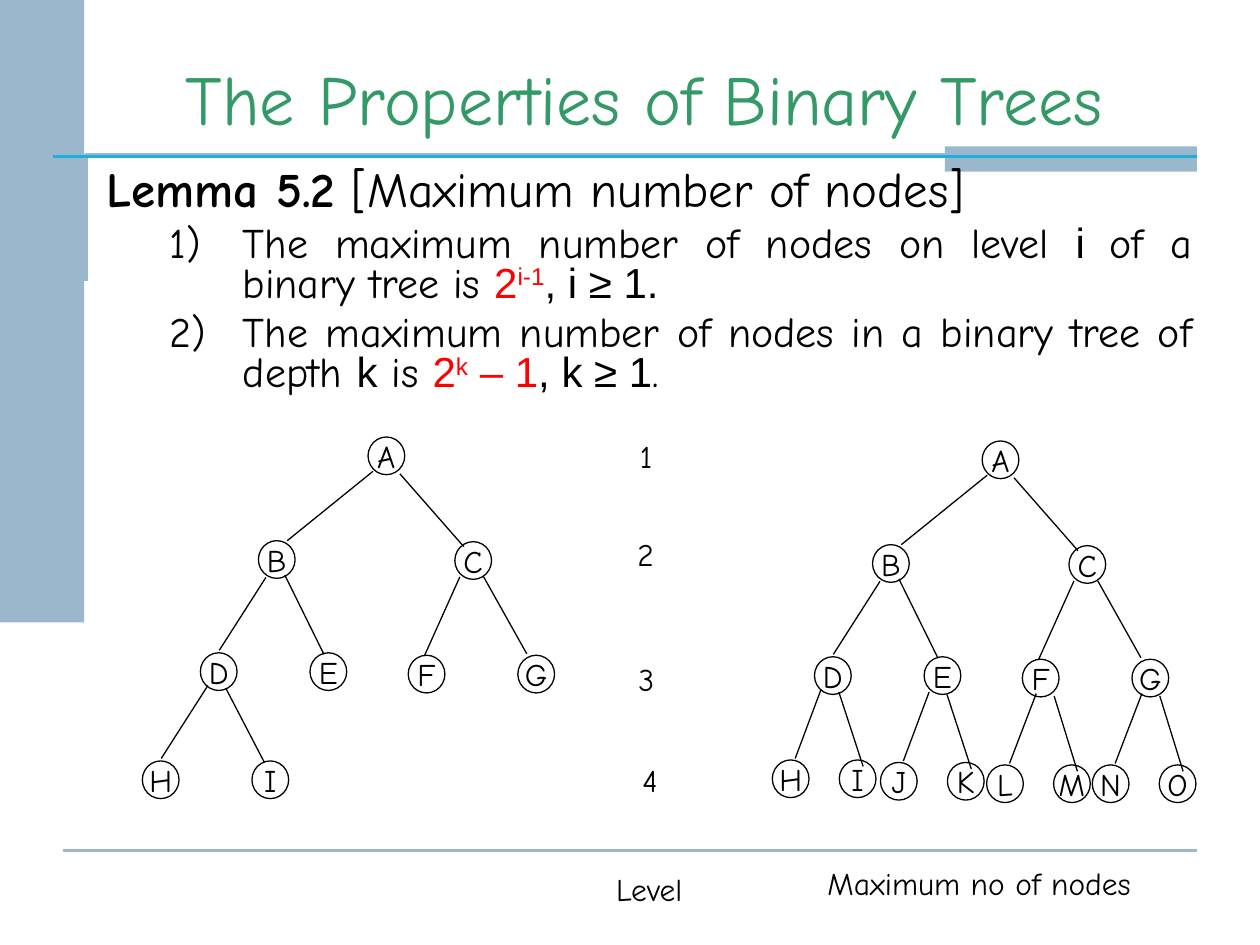
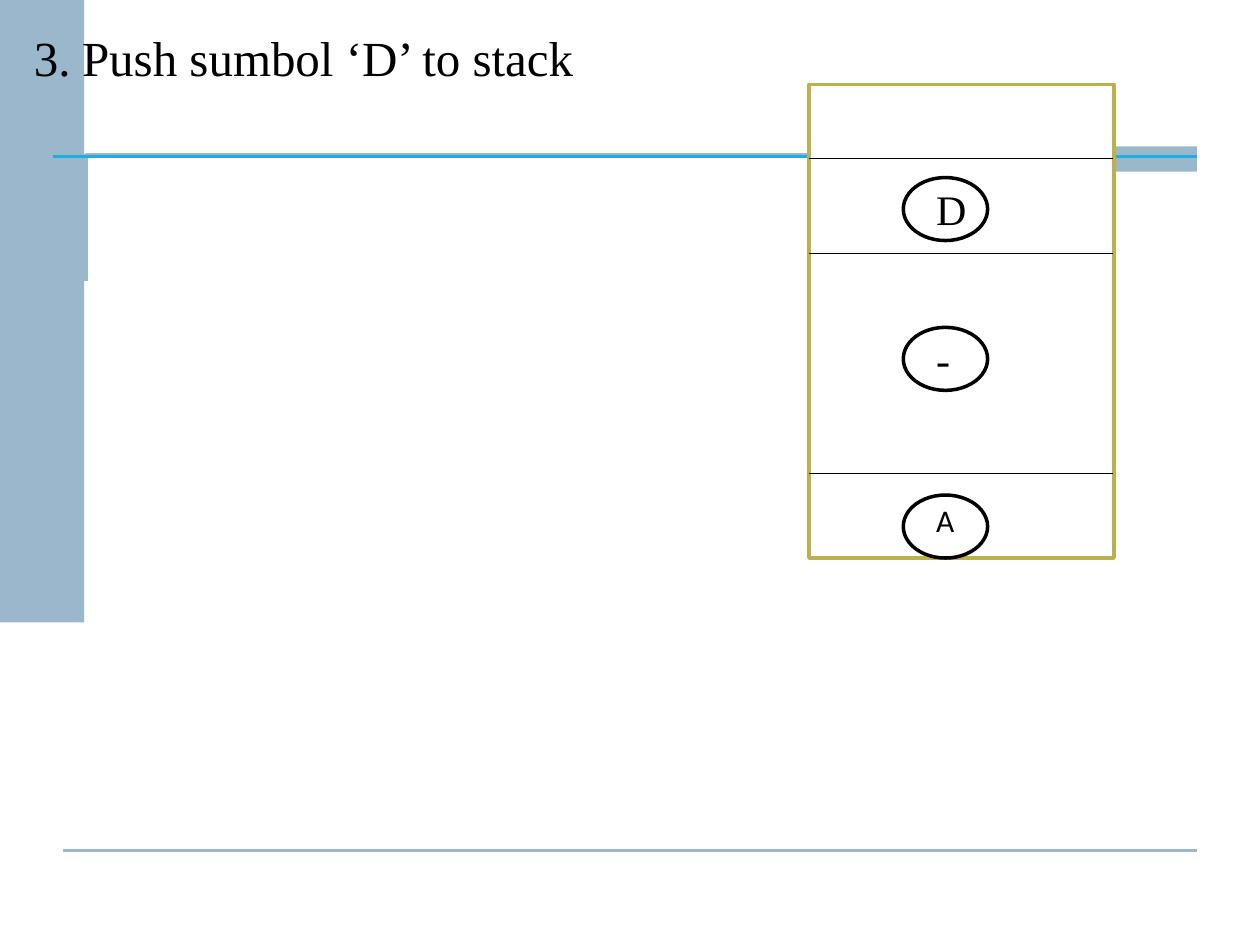
"""Build two slides: binary tree properties and a stack push step."""
from dataclasses import dataclass

from lxml import etree
from pptx import Presentation
from pptx import util as u
from pptx.dml.color import RGBColor
from pptx.enum import shapes, text
from pptx.oxml.ns import qn


@dataclass(frozen=True)
class Theme:
    ink: str = "000000"
    paper: str = "FFFFFF"
    band: str = "9AB7CC"
    rule: str = "20AEE0"
    title: str = "339966"
    key: str = "FF0000"
    frame: str = "BDB14B"
    hand: str = "Comic Neue"
    sans: str = "Arial"
    serif: str = "Times New Roman"
    plain: str = "Calibri"
    head: int = 40
    lead: int = 28
    item: int = 24
    note: int = 18


T = Theme()
Kind = shapes.MSO_SHAPE
Align = text.PP_ALIGN


def paint(shape, fill=None, line=None, wide=0.75):
    """Set fill and line, and drop the shadow."""
    if hasattr(shape, "fill"):
        if fill:
            shape.fill.solid()
            shape.fill.fore_color.rgb = RGBColor.from_string(fill)
        else:
            shape.fill.background()
    if line:
        shape.line.color.rgb = RGBColor.from_string(line)
        shape.line.width = u.Pt(wide)
    else:
        shape.line.fill.background()
    etree.SubElement(shape._element.spPr, qn("a:effectLst"))
    return shape


def say(para, words, size=T.note, face=T.hand, color=T.ink, bold=False, lift=0):
    """Add one formatted run."""
    run = para.add_run()
    run.text = words
    form = {"size": u.Pt(size), "name": face, "bold": bold}
    for name, value in form.items():
        setattr(run.font, name, value)
    run.font.color.rgb = RGBColor.from_string(color)
    if lift:
        run.font._element.set("baseline", str(lift * 1000))


deck = Presentation()
deck.slide_width, deck.slide_height = u.Cm(25.4), u.Cm(19.05)
tree, stack = [deck.slides.add_slide(deck.slide_layouts[1]) for _ in range(2)]
straight = shapes.MSO_CONNECTOR.STRAIGHT

path = tree.shapes.build_freeform(u.Cm(1.73), u.Cm(5.66), scale=1.0)
path.add_line_segments([(u.Cm(1.73), u.Cm(3.12)), (u.Cm(23.75), u.Cm(3.12))], close=False)
decor = [paint(path.convert_to_shape(), line=T.band, wide=2)]
for box in [(0, 0, 1.7, 12.55), (19.05, 2.95, 5.08, 0.51)]:
    decor.append(paint(tree.shapes.add_shape(Kind.RECTANGLE, *map(u.Cm, box)), T.band))
for left, y, color in [(1.27, 17.15, T.band), (1.07, 3.15, T.rule)]:
    ends = map(u.Cm, (left, y, 24.13, y))
    decor.append(paint(tree.shapes.add_connector(straight, *ends), line=color, wide=1.5))
base = deck.slide_master.shapes._spTree
for i, shape in enumerate(decor):
    shape._element._nvXxPr.cNvPr.id = 20 + i
    base.insert(2 + i, shape._element)

head = tree.shapes.title
blank = stack.shapes.title._element
blank.getparent().remove(blank)
body, step = tree.placeholders[1], stack.placeholders[1]
places = [
    (head, (1.9, 0.97, 22.17, 1.96), text.MSO_ANCHOR.BOTTOM),
    (body, (1.9, 3.3, 22.38, 13.21), text.MSO_ANCHOR.TOP),
    (step, (0.43, 0.43, 24.33, 18.21), text.MSO_ANCHOR.TOP),
]
for shape, box, anchor in places:
    for name, value in zip(("left", "top", "width", "height"), box):
        setattr(shape, name, u.Cm(value))
    shape.text_frame.auto_size = text.MSO_AUTO_SIZE.NONE
    shape.text_frame.vertical_anchor = anchor
top = head.text_frame.paragraphs[0]
top.alignment = Align.CENTER
say(top, "The Properties of Binary Trees", T.head, color=T.title)

sans = {"size": T.item, "face": T.sans}
hand = {"size": T.item}
red = {**sans, "color": T.key}
lemma = [
    [("Lemma 5.2", {"size": T.lead, "bold": True}),
     (" [Maximum number of nodes]", {"size": T.lead})],
    [("The maximum number of nodes on level ", hand), ("i ", sans),
     ("of a binary tree is ", hand), ("2", red), ("i-1", {**red, "lift": 30}),
     (", i ≥ 1.", sans)],
    [("The maximum number of nodes in a binary tree of depth ", hand), ("k", sans),
     (" is ", hand), ("2", red), ("k", {**red, "lift": 30}), (" – 1", red),
     (", k ≥ 1", sans), (".", hand)],
]
push = [("3.\tPush sumbol ‘D’ to stack", {"size": T.lead, "face": T.serif})]
lists = [
    (body, lemma[0], 0, 0, 0),
    (body, lemma[1], 1, 2.74, -1.47),
    (body, lemma[2], 1, 2.74, -1.47),
    (step, push, 0, 0.97, -0.97),
]
for shape, runs, level, margin, indent in lists:
    frame = shape.text_frame
    para = frame.add_paragraph() if frame.paragraphs[0].runs else frame.paragraphs[0]
    props = para._p.get_or_add_pPr()
    props.set("marL", str(u.Cm(margin)))
    props.set("indent", str(u.Cm(indent)))
    if level:
        etree.SubElement(props, qn("a:buAutoNum"), type="arabicParenR")
    else:
        etree.SubElement(props, qn("a:buNone"))
    form = {
        "level": level,
        "space_before": u.Pt(5 * level),
        "alignment": Align.JUSTIFY if shape is body else Align.LEFT,
        "line_spacing": 0.8 if shape is body else 1.0,
    }
    for name, value in form.items():
        setattr(para, name, value)
    for words, style in runs:
        say(para, words, **style)

crown = [
    ("A", 7.42, 8.81, None, None),
    ("B", 5.21, 10.9, "A", (0.1, 0.69, 0.58, 0)),
    ("C", 9.17, 10.92, "A", (0.64, 0.74, 0.18, 0.1)),
    ("D", 4.04, 13.16, "B", (0.15, 0.74, 0.38, -0.05)),
    ("E", 6.25, 13.16, "B", (0.53, 0.69, 0.28, 0.03)),
    ("F", 8.23, 13.21, "C", (0.1, 0.71, 0.33, 0)),
    ("G", 10.44, 13.21, "C", (0.58, 0.71, 0.18, -0.03)),
]
few = [
    ("H", 2.87, 15.34, "D", (0.15, 0.66, 0.38, -0.05)),
    ("I", 5.08, 15.34, "D", (0.51, 0.71, 0.25, 0.03)),
]
full = []
for pair, up, x, y, dx, dy in [("HI", "D", 15.57, 15.32, 0.13, 0.66),
                               ("JK", "E", 17.75, 15.37, 0.1, 0.71),
                               ("LM", "F", 19.89, 15.42, 0.28, 0.69),
                               ("NO", "G", 22.02, 15.42, 0.2, 0.69)]:
    full.append((pair[0], x, y, up, (dx, dy, 0.46, -0.03)))
    full.append((pair[1], x + 1.35, y, up, (dx + 0.36, dy + 0.05, 0.48, 0.13)))
moved = [(name, x + 12.38, y + 0.08, up, edge) for name, x, y, up, edge in crown]

for nodes in (crown + few, moved + full):
    spots = {}
    for name, x, y, up, edge in nodes:
        spots[name] = x, y
        box = map(u.Cm, (x, y, 0.74, 0.76))
        node = paint(tree.shapes.add_shape(Kind.OVAL, *box), line=T.ink)
        node.text_frame.word_wrap = False
        node.text_frame.vertical_anchor = text.MSO_ANCHOR.MIDDLE
        para = node.text_frame.paragraphs[0]
        para.alignment = Align.CENTER
        say(para, name)
        if up:
            px, py = spots[up]
            dx, dy, ex, ey = edge
            ends = map(u.Cm, (px + dx, py + dy, x + ex, y + ey))
            paint(tree.shapes.add_connector(straight, *ends), line=T.ink)

box = map(u.Cm, (16.31, 1.7, 6.15, 9.55))
paint(stack.shapes.add_shape(Kind.RECTANGLE, *box), T.paper, T.frame, 2)
for y in (3.2, 5.11, 9.55):
    ends = map(u.Cm, (16.31, y, 22.43, y))
    paint(stack.shapes.add_connector(straight, *ends), line=T.ink)

serif = {"size": T.item, "face": T.serif}
labels = [
    (tree, "Level", 12.17, 17.42, 2.18, {}),
    (tree, "1", 12.65, 8.69, 1.09, {}),
    (tree, "2", 12.6, 10.67, 1.09, {}),
    (tree, "3", 12.62, 13.18, 1.09, {}),
    (tree, "4", 12.7, 15.21, 1.09, {}),
    (tree, "Maximum no of nodes", 16.43, 17.3, 7.11, {}),
    (stack, "D", 18.62, 3.58, 1.27, serif),
    (stack, "-", 18.62, 6.6, 1.27, serif),
    (stack, "A", 18.62, 9.98, 1.27, {"face": T.plain}),
]
for page, words, x, y, width, style in labels:
    if page is stack:
        box = map(u.Cm, (18.21, y, 1.7, 1.27))
        paint(page.shapes.add_shape(Kind.OVAL, *box), T.paper, T.ink, 2)
    label = page.shapes.add_textbox(*map(u.Cm, (x, y, width, 1.02)))
    label.text_frame.word_wrap = True
    say(label.text_frame.paragraphs[0], words, **style)

deck.save("out.pptx")
